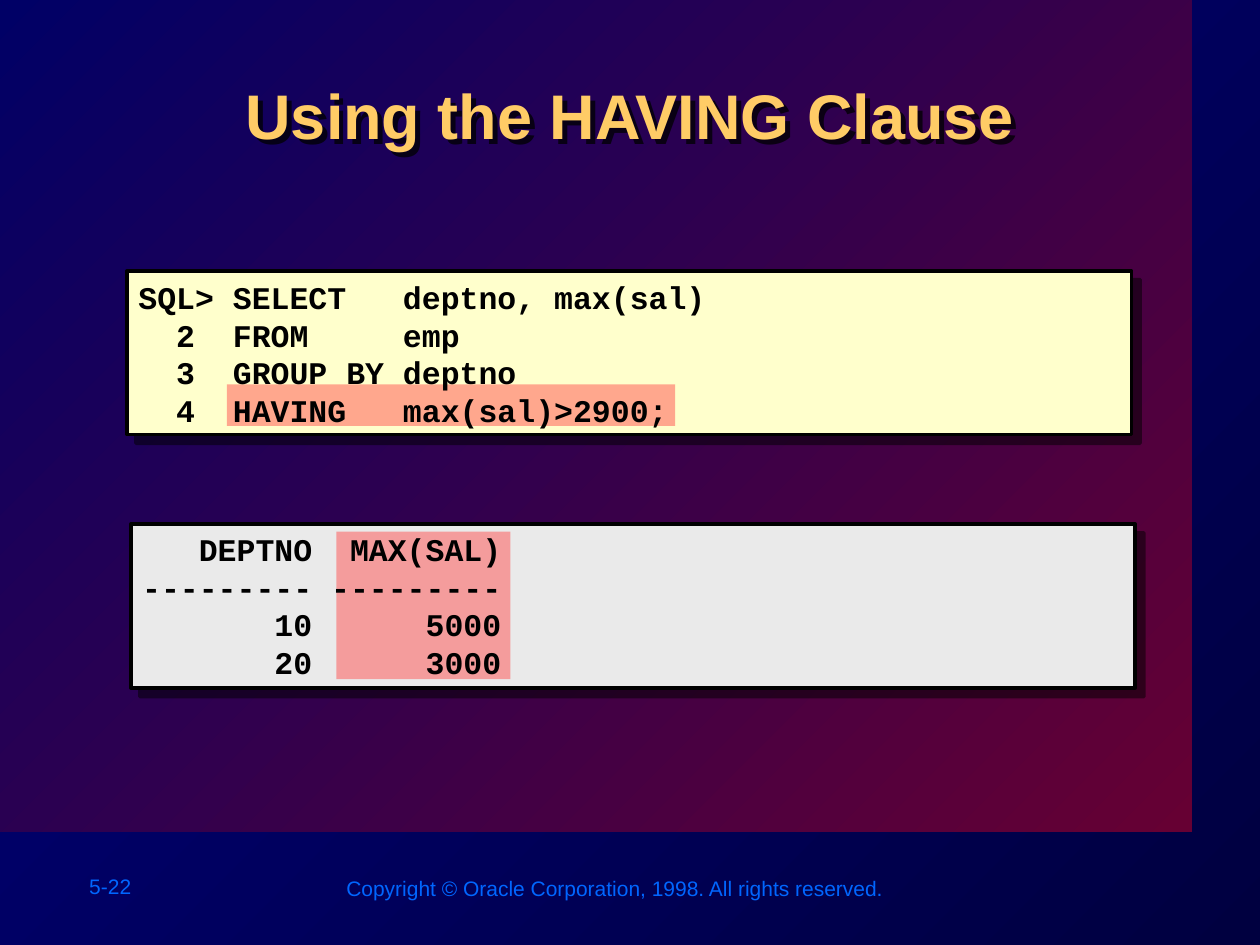
from typing import NamedTuple

from lxml.etree import SubElement as Sub
from pptx import Presentation
from pptx.dml.color import RGBColor as Rgb
from pptx.enum.shapes import MSO_SHAPE as Kind
from pptx.enum.text import MSO_ANCHOR as Anchor, PP_ALIGN as Align
from pptx.oxml.ns import qn
from pptx.util import Inches, Pt

HUES = {
    "navy": "000080", "night": "000040", "blue": "000066", "wine": "660033",
    "gold": "FFCC66", "foot": "0066FF", "cream": "FFFFCC", "grey": "EAEAEA",
    "red": "FF5050", "black": "000000",
}
CODE = {"name": "Courier New", "size": Pt(18), "bold": True}
FOOT = {"name": "Arial", "size": Pt(12), "bold": False}
HEAD = {"name": "Arial", "size": Pt(36), "bold": True}


class Box(NamedTuple):
    left: float
    top: float
    width: float
    height: float


class Panel(NamedTuple):
    box: Box
    hue: str
    mark: Box
    area: Box
    lines: list[str]


PANELS = [
    Panel(Box(1.01, 2.15, 7.97, 1.3), "cream", Box(1.8, 3.05, 3.56, 0.33),
          Box(1, 2.14, 8, 1.33),
          ["SQL> SELECT   deptno, max(sal)",
           "  2  FROM     emp",
           "  3  GROUP BY deptno",
           "  4  HAVING   max(sal)>2900;"]),
    Panel(Box(1.04, 4.16, 7.97, 1.3), "grey", Box(2.67, 4.22, 1.38, 1.17),
          Box(1.03, 4.14, 8, 1.33),
          ["   DEPTNO  MAX(SAL)",
           "--------- ---------",
           "       10      5000",
           "       20      3000"]),
]
FOOTERS = [
    (Box(0.61, 6.88, 1.11, 0.3), "5-22"),
    (Box(2.65, 6.9, 4.48, 0.3),
     "Copyright © Oracle Corporation, 1998. All rights reserved."),
]


def tint(name: str) -> Rgb:
    return Rgb.from_string(HUES[name])


def spot(box: Box) -> list:
    return [Inches(part) for part in box]


def blend(fill, start: str, end: str) -> None:
    """Fill with a diagonal blend of two colours."""
    fill.gradient()
    fill.gradient_angle = 315
    for stop, name in zip(fill.gradient_stops, (start, end)):
        stop.color.rgb = tint(name)


def cast(shape, dist: float, alpha: int) -> None:
    """Add a black shadow to the lower right."""
    shape.shadow.inherit = False
    list_ = shape._element.spPr.find(qn("a:effectLst"))
    shade = Sub(list_, qn("a:outerShdw"), dist=str(Pt(dist)), dir="2700000",
                algn="ctr", rotWithShape="0")
    hue = Sub(shade, qn("a:srgbClr"), val=HUES["black"])
    Sub(hue, qn("a:alpha"), val=str(alpha * 1000))


def block(slide, box: Box, hue: str = ""):
    """Draw a plain rectangle with no line."""
    shape = slide.shapes.add_shape(Kind.RECTANGLE, *spot(box))
    shape.shadow.inherit = False
    shape.line.fill.background()
    if hue:
        shape.fill.solid()
        shape.fill.fore_color.rgb = tint(hue)
    return shape


def style(para, look: dict, hue: str) -> None:
    for run in para.runs:
        for key, value in look.items():
            setattr(run.font, key, value)
        run.font.color.rgb = tint(hue)


def write(slide, box: Box, lines: list[str], look: dict, hue: str):
    """Place lines of text, one paragraph each."""
    frame = slide.shapes.add_textbox(*spot(box)).text_frame
    frame.word_wrap = False
    frame.text = "\n".join(lines)
    for para in frame.paragraphs:
        style(para, look, hue)
    return frame


def main() -> None:
    deck = Presentation()
    deck.slide_width, deck.slide_height = Inches(10), Inches(7.5)
    slide = deck.slides.add_slide(deck.slide_layouts[5])

    # Backdrop and footers
    blend(slide.background.fill, "navy", "night")
    blend(block(slide, Box(0, 0, 9.46, 6.6)).fill, "blue", "wine")
    for box, text in FOOTERS:
        write(slide, box, [text], FOOT, "foot")

    # Framed panels
    for panel in PANELS:
        frame = block(slide, panel.box, panel.hue)
        frame.line.color.rgb = tint("black")
        frame.line.width = Pt(2)
        cast(frame, 7.1, 50)

    # Title, raised above the backdrop; its shadow falls from the letters
    title = slide.shapes.title
    slide.shapes._spTree.append(title._element)
    title.left, title.top, title.width, title.height = spot(
        Box(1.01, 0.56, 7.98, 0.96))
    title.text_frame.text = "Using the HAVING Clause"
    title.text_frame.vertical_anchor = Anchor.TOP
    para = title.text_frame.paragraphs[0]
    para.alignment = Align.CENTER
    style(para, HEAD, "gold")
    title.fill.background()
    cast(title, 4, 75)

    # Highlights, then the code over them
    for panel in PANELS:
        mark = block(slide, panel.mark, "red")
        hue = mark._element.spPr.find(qn("a:solidFill"))[0]
        Sub(hue, qn("a:alpha"), val="50000")
    for panel in PANELS:
        frame = write(slide, panel.area, panel.lines, CODE, "black")
        frame.vertical_anchor = Anchor.MIDDLE

    deck.save("out.pptx")


if __name__ == "__main__":
    main()
